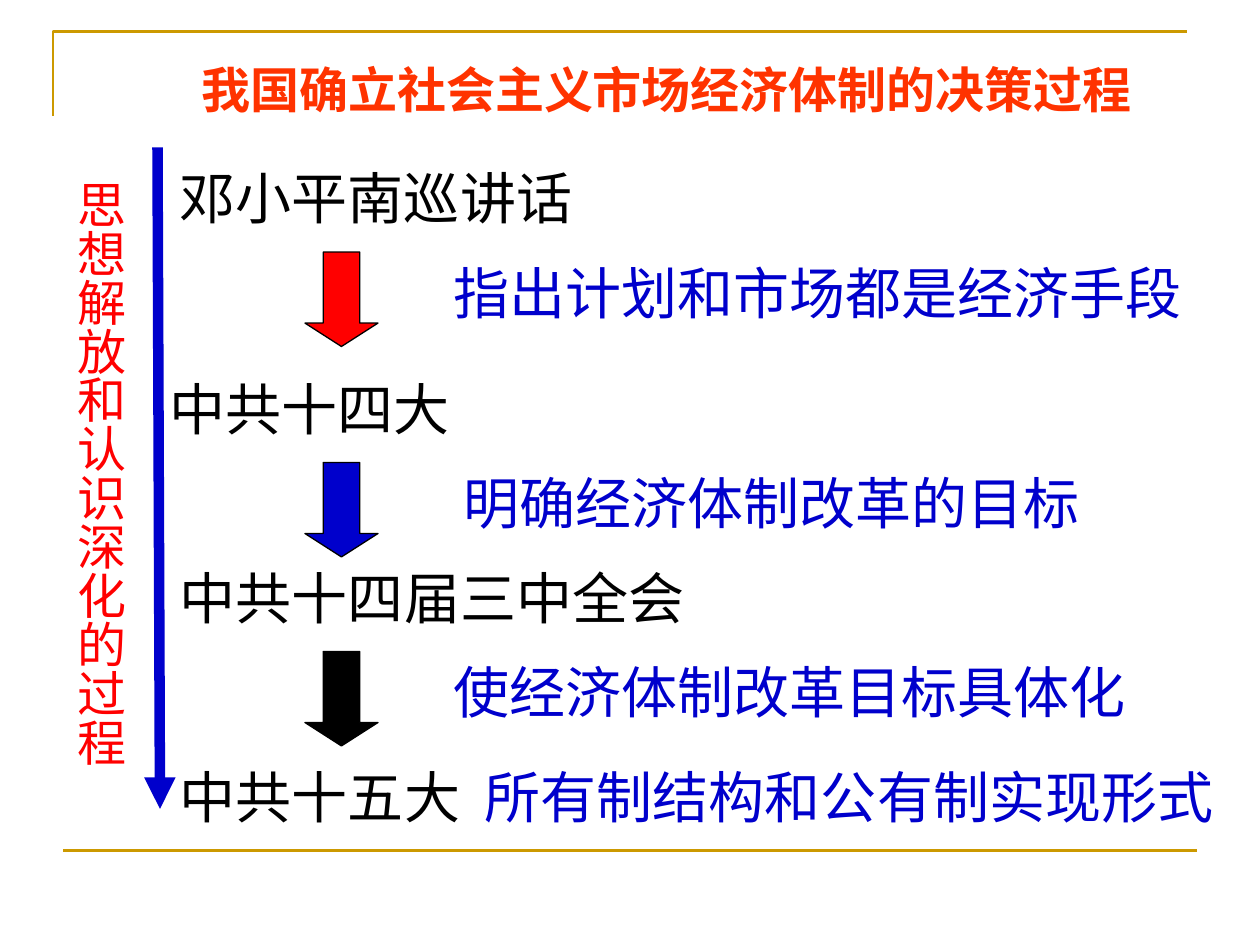
from pptx import Presentation
from pptx.dml.color import RGBColor
from pptx.enum import shapes, text
from pptx.oxml.ns import qn
from pptx.util import Inches, Pt
from lxml import etree

COLORS = {"gold": "CC9900", "black": "000000", "red": "FF0000",
          "blue": "0000CC", "title": "FF3300"}
TITLE = "我国确立社会主义市场经济体制的决策过程"
PROCESS = "思想解放和认识深化的过程"
MEETINGS = [
    ("邓小平南巡讲话", 1.33, 1.25, 3.33),
    ("中共十四大", 1.25, 2.92, 3.33),
    ("中共十四届三中全会", 1.33, 4.42, 4.29),
    ("中共十五大", 1.33, 6, 3.42),
]
OUTCOMES = [
    ("指出计划和市场都是经济手段", 3.5, 2, 6.03),
    ("明确经济体制改革的目标", 3.58, 3.67, 5.17),
    ("使经济体制改革目标具体化", 3.5, 5.17, 5.61),
    ("所有制结构和公有制实现形式", 3.75, 6, 6.08),
]
ARROWS = [("red", 2), ("blue", 3.67), ("black", 5.17)]


def rgb(name):
    """Return the named colour."""
    return RGBColor.from_string(COLORS[name])


def write(sp, words, size, color, bold=False, align=text.PP_ALIGN.LEFT):
    """Put one formatted paragraph into a shape."""
    tf = sp.text_frame
    tf.word_wrap = True
    tf.auto_size = text.MSO_AUTO_SIZE.SHAPE_TO_FIT_TEXT
    tf.vertical_anchor = text.MSO_ANCHOR.TOP
    p = tf.paragraphs[0]
    p.text = words
    p.alignment = align
    p.font.name, p.font.size, p.font.bold = "Arial", Pt(size), bold
    p.font.color.rgb = rgb(color)
    return tf


def add_line(s, start, end, color, width):
    """Draw a straight line without a shadow."""
    line = s.shapes.add_connector(shapes.MSO_CONNECTOR.STRAIGHT,
                                  *map(Inches, start + end))
    line.line.color.rgb = rgb(color)
    line.line.width = Pt(width)
    etree.SubElement(line._element.spPr, qn("a:effectLst"))
    return line


def add_frame(s):
    """Draw the gold corner and the gold bottom rule."""
    builder = s.shapes.build_freeform(Inches(0.42), Inches(0.92))
    builder.add_line_segments([(Inches(0.42), Inches(0.25)),
                               (Inches(9.42), Inches(0.25))], close=False)
    corner = builder.convert_to_shape()
    corner.fill.background()
    corner.line.color.rgb = rgb("gold")
    corner.line.width = Pt(1.5)
    corner.shadow.inherit = False
    add_line(s, (0.5, 6.75), (9.5, 6.75), "gold", 1.5)


def add_down_arrow(s, color, top):
    """Draw a block arrow leading to the next meeting."""
    sp = s.shapes.add_shape(shapes.MSO_SHAPE.DOWN_ARROW, Inches(2.42),
                            Inches(top), Inches(0.58), Inches(0.75))
    sp.adjustments[0], sp.adjustments[1] = 0.5, 0.32
    sp.fill.solid()
    sp.fill.fore_color.rgb = rgb(color)
    sp.line.color.rgb = rgb("black")
    sp.line.width = Pt(0.75)
    sp.shadow.inherit = False


def add_process(s):
    """Draw the long arrow and its vertical caption."""
    line = add_line(s, (1.25, 1.17), (1.27, 6.42), "blue", 6)
    etree.SubElement(line.line._get_or_add_ln(), qn("a:tailEnd"), type="triangle")
    sp = s.shapes.add_textbox(*map(Inches, (0.42, 1.33, 0.66, 5)))
    tf = write(sp, PROCESS, 28, "red", align=text.PP_ALIGN.CENTER)
    tf.margin_left = tf.margin_right = Inches(0.05)
    tf.margin_top = tf.margin_bottom = Inches(0.1)
    tf._txBody.bodyPr.set("vert", "eaVert")


def main():
    """Build the slide and save it."""
    prs = Presentation()
    prs.slide_width, prs.slide_height = Inches(10), Inches(7.5)
    s = prs.slides.add_slide(prs.slide_layouts[5])
    title = s.shapes.title
    title.left, title.top, title.width, title.height = map(
        Inches, (1.5, 0.42, 7.75, 0.57))
    write(title, TITLE, 28, "title", bold=True)
    add_frame(s)
    for color, top in ARROWS:
        add_down_arrow(s, color, top)
    add_process(s)
    for color, labels in (("black", MEETINGS), ("blue", OUTCOMES)):
        for words, left, top, width in labels:
            sp = s.shapes.add_textbox(*map(Inches, (left, top, width, 0.64)))
            write(sp, words, 32, color)
    prs.save("out.pptx")


if __name__ == "__main__":
    main()
